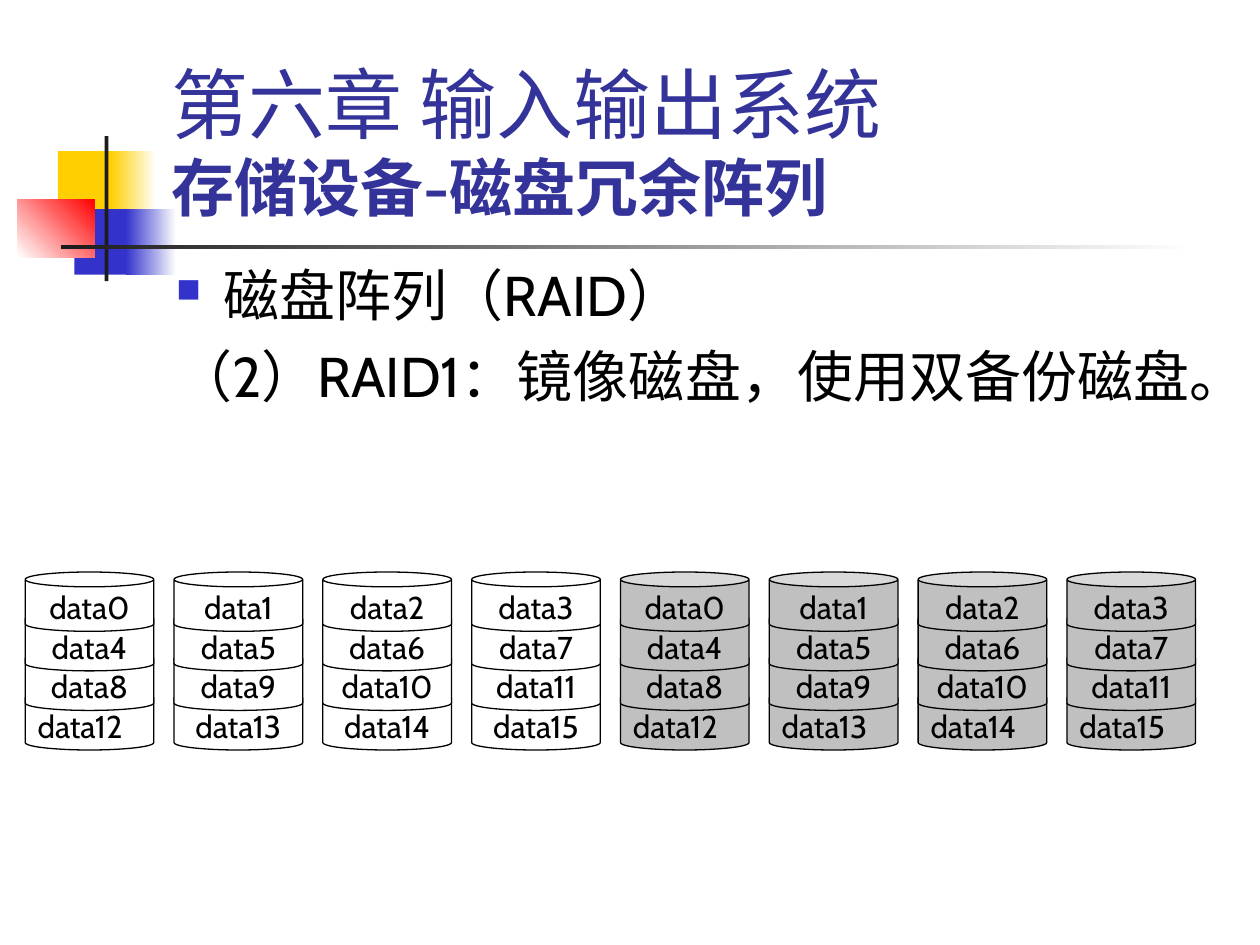
"""Builds the slide on mirrored disk arrays (RAID1)."""
import dataclasses

import lxml.etree
import pptx
import pptx.dml.color
import pptx.enum.shapes
import pptx.enum.text
import pptx.oxml.ns
import pptx.util

Pt = pptx.util.Pt
RECTANGLE = pptx.enum.shapes.MSO_SHAPE.RECTANGLE
CAN = pptx.enum.shapes.MSO_SHAPE.CAN
ALIGN = pptx.enum.text.PP_ALIGN
ANCHOR = pptx.enum.text.MSO_ANCHOR
AUTO_SIZE = pptx.enum.text.MSO_AUTO_SIZE


@dataclasses.dataclass(frozen=True)
class Theme:
    font: str = "Cabin"
    title: str = "333399"
    ink: str = "000000"
    white: str = "FFFFFF"
    mirror: str = "C0C0C0"
    yellow: str = "FFCF01"
    blue: str = "3333CC"
    red: str = "FF0000"
    dark: str = "1C1C1C"
    chapter_size: int = 44
    section_size: int = 36
    body_size: int = 32
    label_size: int = 18


THEME = Theme()
DISKS = 8
DATA_DISKS = 4
ROWS = 4
DISK_LEFT, DISK_TOP = 14.4, 326.9
DISK_PITCH, ROW_PITCH = 85.04, 22.6
DISK_WIDTH, CAN_HEIGHT = 73.5, 33.9
LABEL_OFFSET, LABEL_HEIGHT = 5.7, 28.8
LEFT_ALIGNED_LAST_ROW = {0, 4, 5, 6, 7}


def rgb(value):
    return pptx.dml.color.RGBColor.from_string(value)


def add_span(para, text, size, color=THEME.ink, bold=False):
    span = para.add_run()
    span.text = text
    span.font.name = THEME.font
    span.font.size = Pt(size)
    span.font.bold = bold
    span.font.color.rgb = rgb(color)


def add_block(page, bounds, start, end=None, angle=0):
    block = page.shapes.add_shape(RECTANGLE, *map(Pt, bounds))
    block.shadow.inherit = False
    block.line.fill.background()
    if end is None:
        block.fill.solid()
        block.fill.fore_color.rgb = rgb(start)
        return
    block.fill.gradient()
    block.fill.gradient_angle = angle
    for stop, color in zip(block.fill.gradient_stops, (start, end)):
        stop.color.rgb = rgb(color)


def add_ornament(page):
    add_block(page, (33.1, 86.4, 34.6, 37.4), THEME.yellow)
    add_block(page, (63.4, 86.4, 25.9, 37.4), THEME.yellow, THEME.white)
    add_block(page, (42.5, 119.5, 33.1, 37.4), THEME.blue)
    add_block(page, (72, 119.5, 28.8, 37.4), THEME.blue, THEME.white)
    add_block(page, (10.1, 113.8, 43.9, 33.1), THEME.white, THEME.red, 45)
    add_block(page, (59.8, 77.8, 2.2, 82.8), THEME.dark)
    add_block(page, (34.6, 140.2, 648, 2.2), THEME.dark, THEME.white)


def fill_title(page):
    title = page.shapes.title
    title.left, title.top, title.width, title.height = map(Pt, (90.7, 16.6, 613.4, 115.2))
    frame = title.text_frame
    frame.auto_size = AUTO_SIZE.NONE
    frame.vertical_anchor = ANCHOR.BOTTOM
    para = frame.paragraphs[0]
    para.alignment = ALIGN.LEFT
    add_span(para, "第六章 输入输出系统", THEME.chapter_size, THEME.title)
    para.add_line_break()
    add_span(para, "存储设备-磁盘冗余阵列", THEME.section_size, THEME.title, True)


def add_bullet(para):
    properties = para._p.get_or_add_pPr()

    def add_child(parent, tag, **attributes):
        return lxml.etree.SubElement(parent, pptx.oxml.ns.qn(tag), **attributes)

    add_child(add_child(properties, "a:buClr"), "a:srgbClr", val=THEME.blue)
    add_child(properties, "a:buSzPct", val="60000")
    add_child(properties, "a:buChar", char="■")


def add_hanging_indent(para, size):
    properties = para._p.get_or_add_pPr()
    properties.set("marL", str(Pt(size)))
    properties.set("indent", str(-Pt(size)))


def add_body(page):
    box = page.shapes.add_textbox(*map(Pt, (93.6, 145.4, 612, 133.9)))
    frame = box.text_frame
    frame.word_wrap = True
    heading = frame.paragraphs[0]
    add_bullet(heading)
    detail = frame.add_paragraph()
    detail.space_before = Pt(8)
    texts = ("磁盘阵列（RAID）", "（2）RAID1：镜像磁盘，使用双备份磁盘。")
    for para, text in zip((heading, detail), texts):
        add_hanging_indent(para, 27)
        add_span(para, text, THEME.body_size)


def add_can(group, left, top, color):
    can = group.shapes.add_shape(CAN, *map(Pt, (left, top, DISK_WIDTH, CAN_HEIGHT)))
    can.shadow.inherit = False
    can.fill.solid()
    can.fill.fore_color.rgb = rgb(color)
    can.line.color.rgb = rgb(THEME.ink)
    can.line.width = Pt(0.75)


def add_label(group, left, top, text, alignment):
    box = group.shapes.add_textbox(*map(Pt, (left, top, DISK_WIDTH, LABEL_HEIGHT)))
    box.text_frame.word_wrap = True
    box.text_frame.auto_size = AUTO_SIZE.SHAPE_TO_FIT_TEXT
    para = box.text_frame.paragraphs[0]
    para.alignment = alignment
    add_span(para, text, THEME.label_size)


def add_disk(page, index):
    group = page.shapes.add_group_shape()
    left = DISK_LEFT + index * DISK_PITCH
    tops = [DISK_TOP + row * ROW_PITCH for row in range(ROWS)]
    for top in reversed(tops):
        add_can(group, left, top, THEME.white if index < DATA_DISKS else THEME.mirror)
    for row, top in enumerate(tops):
        at_left = row == ROWS - 1 and index in LEFT_ALIGNED_LAST_ROW
        text = f"data{row * DATA_DISKS + index % DATA_DISKS}"
        add_label(group, left, top + LABEL_OFFSET, text, ALIGN.LEFT if at_left else ALIGN.CENTER)


def main():
    deck = pptx.Presentation()
    deck.slide_width, deck.slide_height = Pt(720), Pt(540)
    page = deck.slides.add_slide(deck.slide_layouts[5])
    add_ornament(page)
    fill_title(page)
    add_body(page)
    for index in range(DISKS):
        add_disk(page, index)
    deck.save("out.pptx")


if __name__ == "__main__":
    main()
